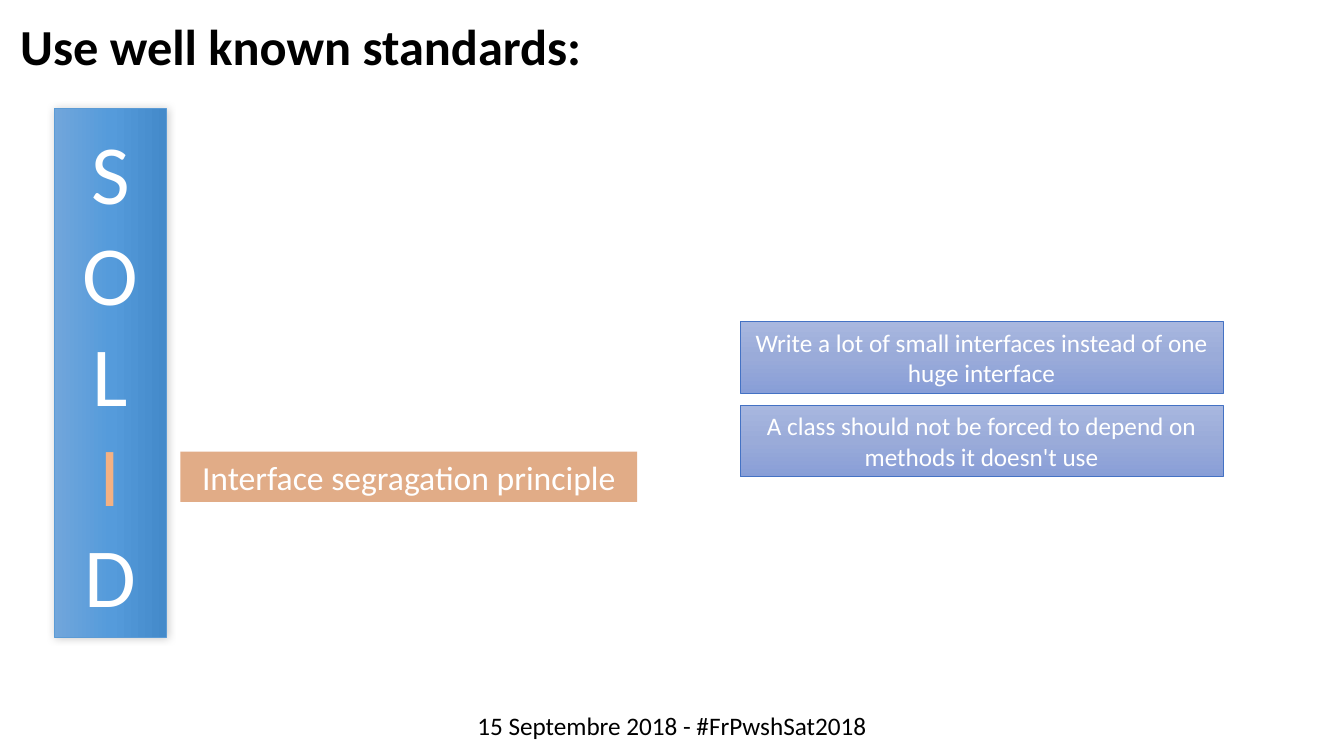
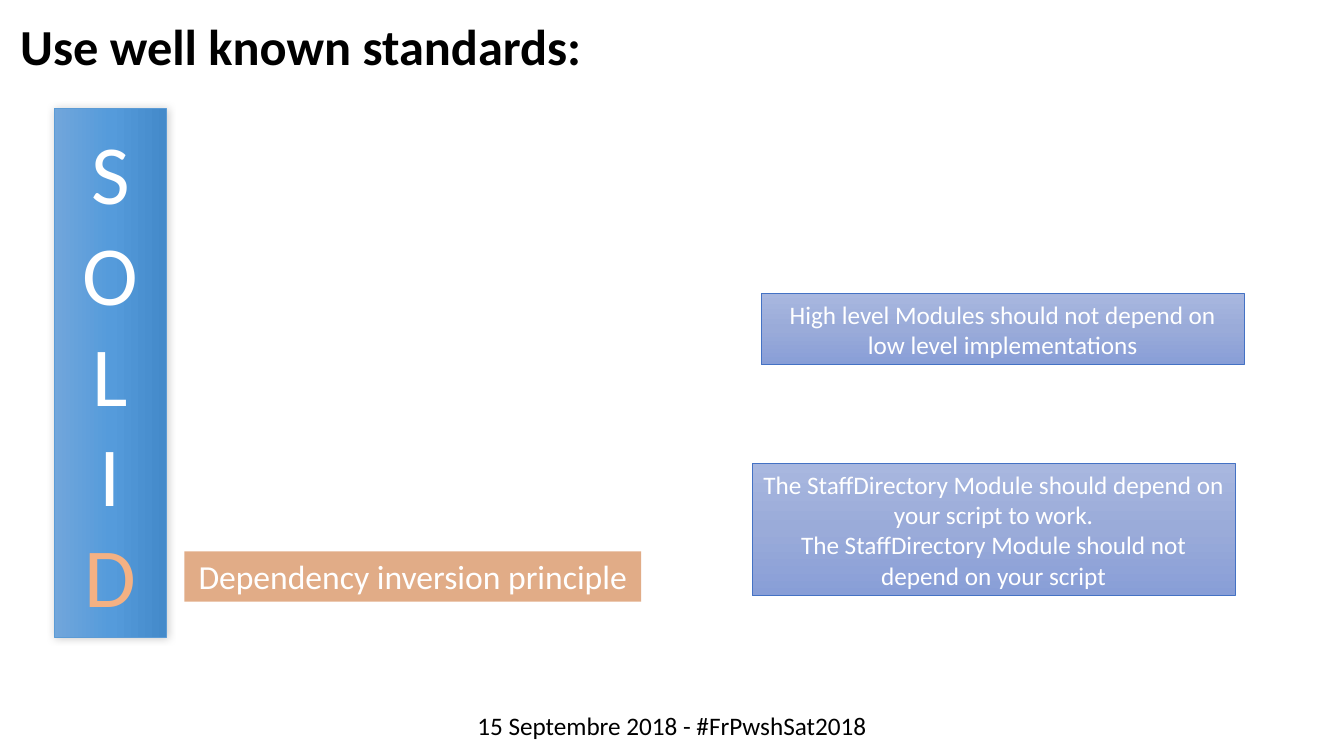
from copy import deepcopy

from lxml import etree
from pptx import Presentation
from pptx import util as u
from pptx.dml.color import RGBColor
from pptx.enum import shapes, text
from pptx.oxml.ns import qn

FONT = "Calibri"
BLACK, WHITE, HIGHLIGHT = "000000", "FFFFFF", "F4B183"
LABEL_FILL = "C55A11"
LETTER_GRADIENT, LETTER_LINE = ("71A6DB", "559BDB", "448ACA"), "5B9BD5"
RULE_GRADIENT, RULE_LINE = ("A8B7DF", "9AABD9", "889ED7"), "4472C4"

TITLE = "Use well known standards:"
FOOTER = "15 Septembre 2018 - #FrPwshSat2018"
TITLE_BOX = (0.1, 0.1, 11.36, 0.71)
FOOTER_BOX = (0, 7, 13.33, 0.71)
LETTERS_BOX = (0.54, 1.07, 1.11, 5.25)
LABEL_SIZE = (4.53, 0.5)
RULE_WIDTH = 4.79

PRINCIPLES = [
    {
        "letter": "I",
        "label": ("Interface segragation principle", 1.79, 4.48),
        "rules": [
            (["Write a lot of small interfaces instead of one huge interface"], 7.34, 3.19, 0.71),
            (["A class should not be forced to depend on methods it doesn't use"], 7.34, 4.02, 0.71),
        ],
    },
    {
        "letter": "D",
        "label": ("Dependency inversion principle", 1.83, 5.47),
        "rules": [
            (["High level Modules should not depend on low level implementations"], 7.55, 2.91, 0.71),
            (["The StaffDirectory Module should depend on your script to work.",
              "The StaffDirectory Module should not depend on your script"], 7.46, 4.6, 1.31),
        ],
    },
]


def rgb(value):
    return RGBColor.from_string(value)


def inches(box):
    return [u.Inches(length) for length in box]


def write(frame, lines, size, color, bold=False, align=text.PP_ALIGN.CENTER,
          anchor=text.MSO_ANCHOR.TOP):
    """Fill a text frame with one paragraph for each line."""
    frame.word_wrap = True
    frame.vertical_anchor = anchor
    for index, line in enumerate(lines):
        paragraph = frame.add_paragraph() if index else frame.paragraphs[0]
        paragraph.alignment = align
        run = paragraph.add_run()
        run.text = line
        font_format = {"name": FONT, "size": u.Pt(size), "bold": bold}
        for attribute, value in font_format.items():
            setattr(run.font, attribute, value)
        run.font.color.rgb = rgb(color)


def add_rectangle(slide, box):
    rectangle = slide.shapes.add_shape(shapes.MSO_SHAPE.RECTANGLE, *inches(box))
    rectangle.shadow.inherit = False
    return rectangle


def add_gradient_rectangle(slide, box, colors, angle, line):
    rectangle = add_rectangle(slide, box)
    rectangle.fill.gradient()
    rectangle.fill.gradient_angle = angle
    stop_list = rectangle._element.spPr.find(".//" + qn("a:gsLst"))
    stop_list.append(deepcopy(stop_list[-1]))
    for index, (stop, color) in enumerate(zip(rectangle.fill.gradient_stops, colors)):
        stop.position = index / (len(colors) - 1)
        stop.color.rgb = rgb(color)
    rectangle.line.color.rgb = rgb(line)
    rectangle.line.width = u.Pt(0.5)
    return rectangle


def add_soft_shadow(shape):
    effects = shape._element.spPr.find(qn("a:effectLst"))
    shadow = etree.SubElement(effects, qn("a:outerShdw"), blurRad=str(u.Pt(6)),
                              dist="0", dir="18900000", rotWithShape="0")
    color = etree.SubElement(shadow, qn("a:srgbClr"), val=BLACK)
    etree.SubElement(color, qn("a:alpha"), val="20000")


def add_title(slide, box):
    title = slide.shapes.title
    for side, length in zip(("left", "top", "width", "height"), inches(box)):
        setattr(title, side, length)
    write(title.text_frame, [TITLE], 36, BLACK, bold=True, align=text.PP_ALIGN.LEFT)


def add_footer(slide, box):
    footer = slide.shapes.add_textbox(*inches(box))
    write(footer.text_frame, [FOOTER], 18, BLACK)


def add_letters(slide, box, current):
    """Draw the SOLID column with the current letter highlighted."""
    column = add_gradient_rectangle(slide, box, LETTER_GRADIENT, 0, LETTER_LINE)
    add_soft_shadow(column)
    write(column.text_frame, "SOLID", 60, WHITE, anchor=text.MSO_ANCHOR.MIDDLE)
    for paragraph in column.text_frame.paragraphs:
        if paragraph.text == current:
            paragraph.runs[0].font.color.rgb = rgb(HIGHLIGHT)


def add_label(slide, box, name):
    label = add_rectangle(slide, box)
    label.fill.solid()
    label.fill.fore_color.rgb = rgb(LABEL_FILL)
    color = label._element.spPr.find(".//" + qn("a:srgbClr"))
    etree.SubElement(color, qn("a:alpha"), val="50000")
    label.line.fill.background()
    write(label.text_frame, [name], 24, WHITE)


def add_rule(slide, box, lines):
    rule = add_gradient_rectangle(slide, box, RULE_GRADIENT, 270, RULE_LINE)
    write(rule.text_frame, lines, 18, WHITE, anchor=text.MSO_ANCHOR.MIDDLE)


def add_principle_slide(deck, principle):
    slide = deck.slides.add_slide(deck.slide_layouts.get_by_name("Title Only"))
    add_footer(slide, FOOTER_BOX)
    add_title(slide, TITLE_BOX)
    add_letters(slide, LETTERS_BOX, principle["letter"])
    name, left, top = principle["label"]
    add_label(slide, (left, top, *LABEL_SIZE), name)
    for lines, left, top, height in principle["rules"]:
        add_rule(slide, (left, top, RULE_WIDTH, height), lines)


def main():
    deck = Presentation()
    deck.slide_width, deck.slide_height = inches((13.33, 7.5))
    for principle in PRINCIPLES:
        add_principle_slide(deck, principle)
    deck.save("out.pptx")


if __name__ == "__main__":
    main()
